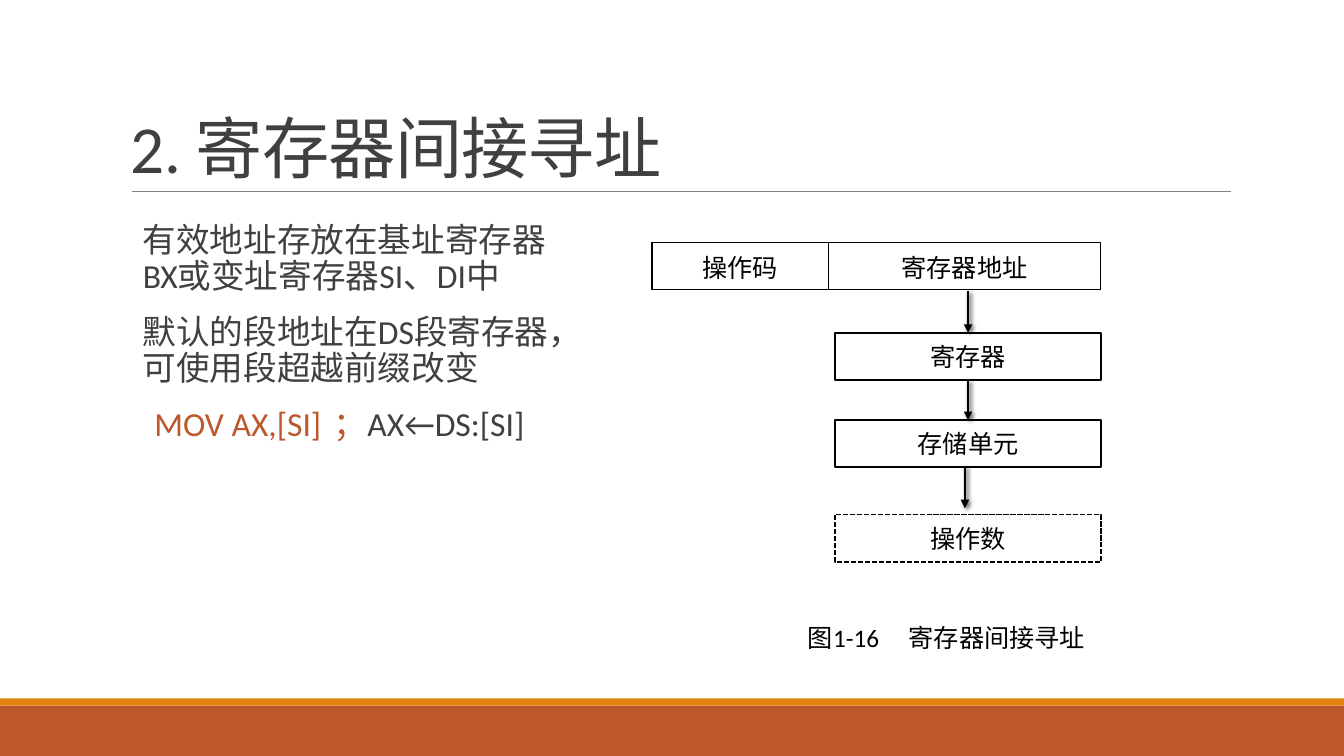
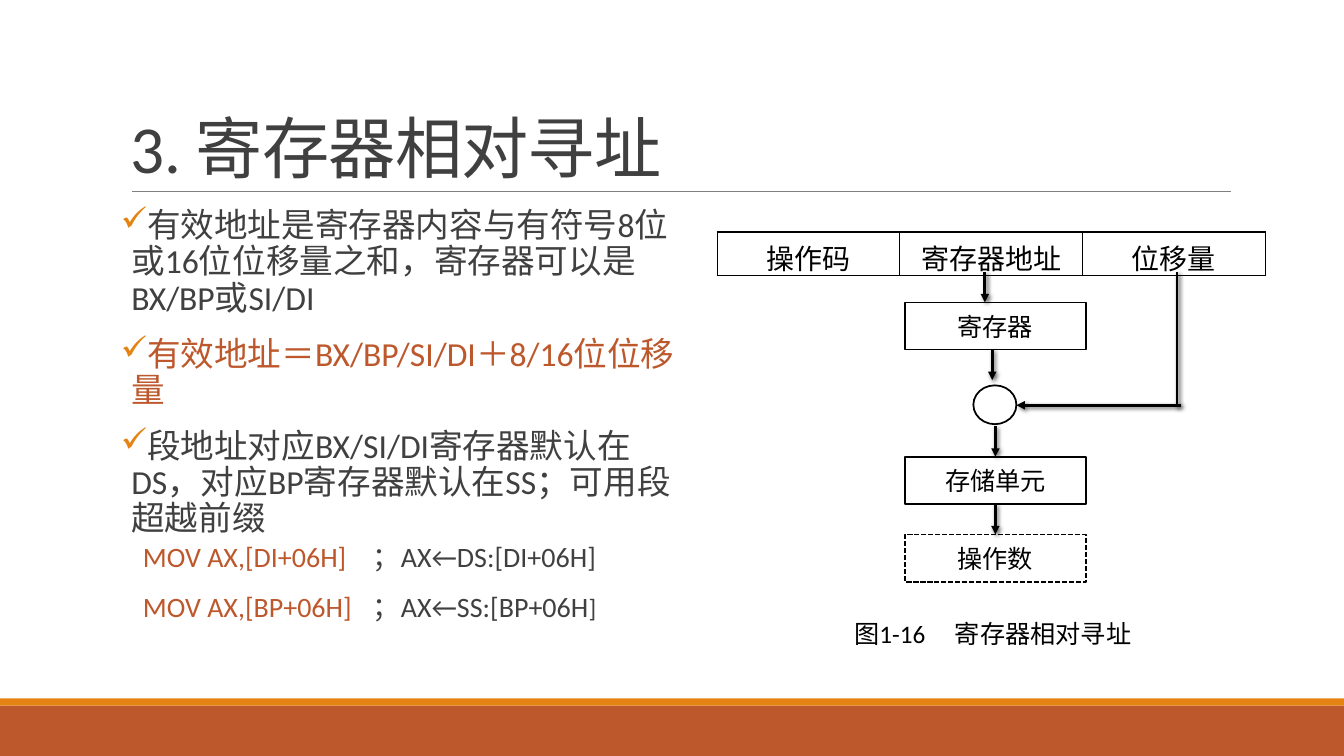
from dataclasses import dataclass

from lxml.etree import SubElement
from pptx import Presentation
from pptx.dml.color import RGBColor as RGB
from pptx.enum.dml import MSO_LINE as Dash
from pptx.enum.shapes import MSO_CONNECTOR as Con, MSO_SHAPE as Shape
from pptx.enum.text import MSO_ANCHOR as Anchor, MSO_AUTO_SIZE as Auto, PP_ALIGN as Align
from pptx.oxml import parse_xml
from pptx.oxml.ns import nsdecls, qn
from pptx.util import Pt

PX = 9525


@dataclass(frozen=True)
class Theme:
    rust: str = "BD582C"
    gold: str = "E48312"
    gray: str = "404040"
    rule: str = "808080"
    black: str = "000000"
    white: str = "FFFFFF"
    font: str = "Calibri"
    head: int = 48
    body: int = 24
    code: int = 20
    note: int = 18


T = Theme()


def px(*nums):
    return [n * PX for n in nums]


def write(frame, text, size=T.note, color=T.black, align=Align.LEFT, line=1.0,
          before=0, after=0, left=0, first=0, bullet=None, tab=None, track=None):
    """Add a paragraph; text is a string or a list of (text, color, size) runs."""
    par = frame.paragraphs[0]
    if par.runs:
        par = frame.add_paragraph()
    else:
        before = 0
    prop = par._p.get_or_add_pPr()
    prop.set("marL", str(left * PX))
    prop.set("indent", str(first * PX))
    if bullet:
        tint = SubElement(prop, qn("a:buClr"))
        SubElement(tint, qn("a:srgbClr"), val=T.gold)
        SubElement(prop, qn("a:buChar"), char=bullet)
    else:
        SubElement(prop, qn("a:buNone"))
    if tab:
        stops = SubElement(prop, qn("a:tabLst"))
        SubElement(stops, qn("a:tab"), pos=str(tab * PX), algn="l")
    par.alignment, par.line_spacing = align, line
    par.space_before, par.space_after = Pt(before), Pt(after)
    for words, tint, pts in [(text, color, size)] if isinstance(text, str) else text:
        run = par.add_run()
        run.text = words
        run.font.name, run.font.size = T.font, Pt(pts)
        run.font.color.rgb = RGB.from_string(tint)
        if track:
            run._r.get_or_add_rPr().set("spc", str(track))


PLAIN = dict(size=T.body, color=T.gray, line=0.9, before=12, after=2, left=10)
CHECK = dict(PLAIN, first=-10, bullet="✓")
CODE = dict(line=0.9, after=4, first=21)

# Arrows: start x, y, end x, y, then the boxes they leave and reach, then the head.
pages = [
    dict(
        title="2. 寄存器间接寻址",
        body=(126, 208, 411, 380),
        text=[
            ("有效地址存放在基址寄存器BX或变址寄存器SI、DI中", PLAIN),
            ("默认的段地址在DS段寄存器，可使用段超越前缀改变", PLAIN),
            ([("MOV AX,[SI]\t；", T.rust, T.body), ("AX←DS:[SI]", T.gray, T.body)],
             dict(CODE, before=12, tab=216)),
        ],
        table=(621, 231, 45), cells=[("操作码", 168), ("寄存器地址", 259)],
        size=T.note, anchor=Anchor.MIDDLE,
        left=795, width=254, tops=(317, 400, 490), ring=None,
        arrows=[
            (922, 277, 922, 317, None, 0, True),
            (922, 362, 922, 400, 0, 1, True),
            (919, 444, 919, 484, None, None, True),
        ],
        note="图1-16\t寄存器间接寻址", spot=(760, 588, 288, 38),
    ),
    dict(
        title="3. 寄存器相对寻址",
        body=(115, 194, 534, 422),
        text=[
            ("有效地址是寄存器内容与有符号8位或16位位移量之和，寄存器可以是BX/BP或SI/DI", CHECK),
            ("有效地址＝BX/BP/SI/DI＋8/16位位移量", dict(CHECK, color=T.rust)),
            ("段地址对应BX/SI/DI寄存器默认在DS，对应BP寄存器默认在SS；可用段超越前缀", CHECK),
            ([("MOV AX,[DI+06H]\t", T.rust, T.code), ("；AX←DS:[DI+06H]", T.gray, T.code)],
             dict(CODE, before=2, tab=258)),
            ([("MOV AX,[BP+06H]\t", T.rust, T.code), ("；AX←SS:[BP+06H", T.gray, T.code),
              ("]", T.gray, T.note)], dict(CODE, before=10, tab=258)),
        ],
        table=(683, 221, 39), cells=[("操作码", 174), ("寄存器地址", 174), ("位移量", 174)],
        size=T.code, anchor=Anchor.TOP,
        left=862, width=172, tops=(288, 435, 509), ring=(927, 367, 41, 37),
        arrows=[
            (938, 259, 938, 288, None, None, True),
            (945, 333, 945, 362, None, None, True),
            (948, 406, 948, 435, None, 1, True),
            (948, 480, 948, 509, 1, 2, True),
            (1121, 259, 1121, 388, None, None, False),
            (1125, 386, 968, 386, None, None, True),
        ],
        note="图1-16\t寄存器相对寻址", spot=(804, 584, 288, 38),
    ),
]
names = ("寄存器", "存储单元", "操作数")

deck = Presentation()
deck.slide_width, deck.slide_height = px(1280, 720)
layout = deck.slide_layouts[5]
head = layout.placeholders[0]
head.left, head.top, head.width, head.height = px(115, 30, 1056, 153)
slides = [deck.slides.add_slide(layout) for page in pages]

# Bands and rule are drawn once and moved to the layout.
draw = slides[0].shapes
shared = []
for top, high, tint in ((672, 48, T.rust), (665, 7, T.gold)):
    band = draw.add_shape(Shape.RECTANGLE, *px(0, top, 1280, high))
    band.shadow.inherit = False
    band.fill.solid()
    band.fill.fore_color.rgb = RGB.from_string(tint)
    band.line.fill.background()
    shared.append(band)
rule = draw.add_connector(Con.STRAIGHT, *px(126, 182, 1172, 182))
rule.line.color.rgb, rule.line.width = RGB.from_string(T.rule), Pt(0.5)
SubElement(rule.element.spPr, qn("a:effectLst"))
for part in shared + [rule]:
    layout.shapes.element.append(part.element)

for slide, page in zip(slides, pages):
    draw = slide.shapes
    frame = draw.title.text_frame
    frame.word_wrap, frame.auto_size = True, Auto.NONE
    frame.vertical_anchor = Anchor.BOTTOM
    write(frame, page["title"], size=T.head, color=T.gray, line=0.85, track=-50)

    frame = draw.add_textbox(*px(*page["body"])).text_frame
    frame.word_wrap = True
    frame.margin_left = frame.margin_right = 0
    for text, form in page["text"]:
        write(frame, text, **form)

    left, top, high = page["table"]
    cells = page["cells"]
    wide = sum(w for _, w in cells)
    table = draw.add_table(1, len(cells), *px(left, top, wide, high)).table
    table.first_row = table.horz_banding = False
    for col, (text, wide) in enumerate(cells):
        table.columns[col].width = wide * PX
        cell = table.cell(0, col)
        cell.vertical_anchor = page["anchor"]
        prop = cell._tc.get_or_add_tcPr()
        for side in ("lnL", "lnR", "lnT", "lnB"):
            edge = SubElement(prop, qn("a:" + side), w=str(Pt(1)))
            fill = SubElement(edge, qn("a:solidFill"))
            SubElement(fill, qn("a:srgbClr"), val=T.black)
        cell.fill.background()
        write(cell.text_frame, text, size=page["size"], align=Align.CENTER)

    boxes = []
    spots = [(page["left"], top, page["width"], 45) for top in page["tops"]]
    shapes = [(Shape.RECTANGLE, spot, name) for spot, name in zip(spots, names)]
    if page["ring"]:
        shapes.append((Shape.OVAL, page["ring"], None))
    for kind, spot, name in shapes:
        box = draw.add_shape(kind, *px(*spot))
        box.shadow.inherit = False
        box.fill.solid()
        box.fill.fore_color.rgb = RGB.from_string(T.white)
        box.line.color.rgb, box.line.width = RGB.from_string(T.black), Pt(1.25)
        if name:
            box.text_frame.vertical_anchor = Anchor.MIDDLE
            write(box.text_frame, name, align=Align.CENTER)
        boxes.append(box)
    boxes[2].line.dash_style = Dash.SQUARE_DOT

    for *ends, start, stop, tip in page["arrows"]:
        arrow = draw.add_connector(Con.STRAIGHT, *px(*ends))
        if start is not None:
            arrow.begin_connect(boxes[start], 2)
        if stop is not None:
            arrow.end_connect(boxes[stop], 0)
        arrow.line.color.rgb, arrow.line.width = RGB.from_string(T.black), Pt(2)
        prop = arrow.element.spPr
        if tip:
            SubElement(prop.find(qn("a:ln")), qn("a:tailEnd"), type="triangle")
        prop.append(parse_xml(
            f'<a:effectLst {nsdecls("a")}><a:outerShdw blurRad="{Pt(3)}" dist="{Pt(2)}" '
            f'dir="2700000" algn="tl" rotWithShape="0"><a:srgbClr val="{T.black}">'
            '<a:alpha val="60000"/></a:srgbClr></a:outerShdw></a:effectLst>'))

    frame = draw.add_textbox(*px(*page["spot"])).text_frame
    frame.word_wrap = True
    write(frame, page["note"], tab=90)

deck.save("out.pptx")
